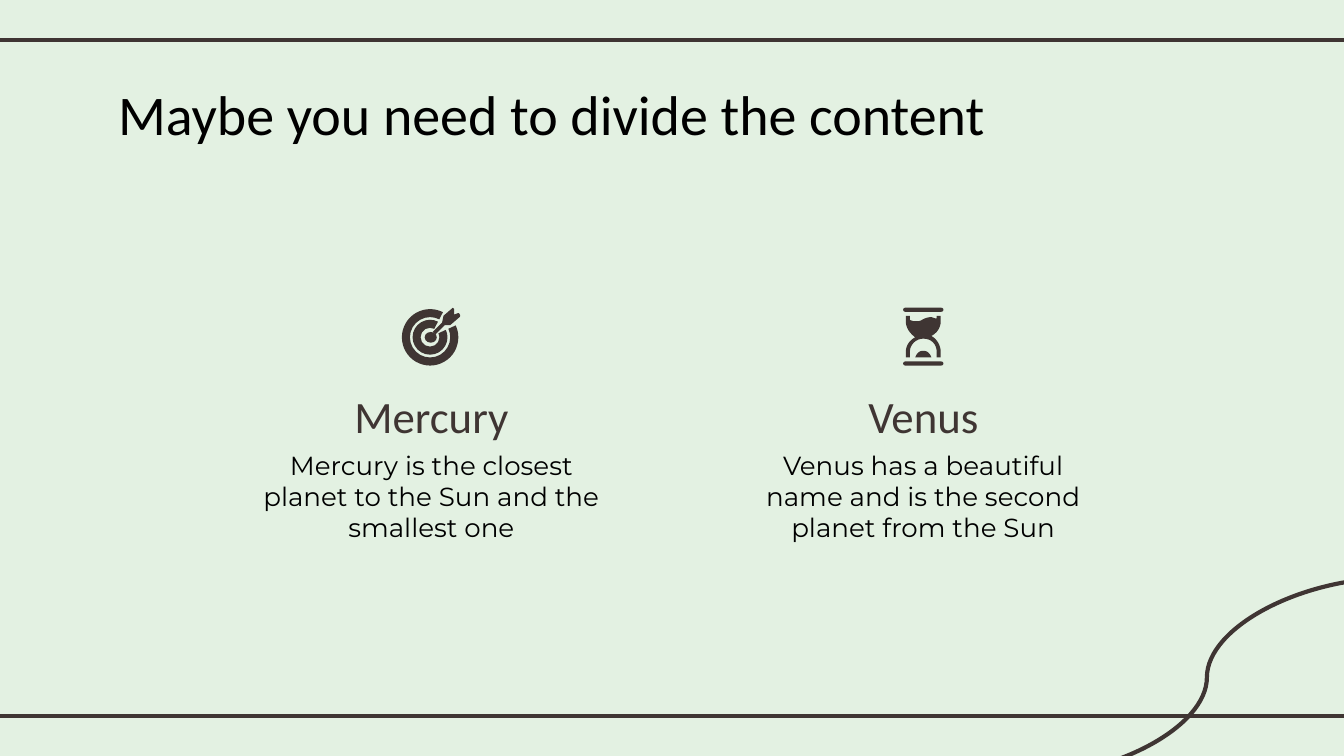
from pptx import Presentation
from pptx import util as u
from pptx.dml import color
from pptx.enum import shapes, text
from pptx.oxml import ns
from lxml import etree

INK = "3F3533"
BLACK = "000000"
PAPER = "E3F1E2"
SHAPE = shapes.MSO_SHAPE
LINE = shapes.MSO_CONNECTOR

DART = [(3.37, 2.29), (3.3, 2.35), (3.29, 2.4), (3.22, 2.47), (3.24, 2.49),
        (3.31, 2.42), (3.35, 2.42), (3.42, 2.36),
        (3.43, 2.35, 3.42, 2.33, 3.41, 2.33), (3.38, 2.34), (3.38, 2.3)]
GLASS = [(6.97, 2.35), (6.97, 2.37), (6.95, 2.37, 6.94, 2.36, 6.93, 2.36),
         (6.9, 2.36, 6.88, 2.37, 6.86, 2.38), (6.85, 2.39, 6.83, 2.39, 6.81, 2.39),
         (6.8, 2.39, 6.79, 2.39, 6.77, 2.38), (6.77, 2.35), (6.74, 2.35),
         (6.74, 2.39), (6.74, 2.44, 6.77, 2.48, 6.81, 2.51),
         (6.77, 2.53, 6.74, 2.57, 6.74, 2.62), (6.74, 2.66), (6.77, 2.66),
         (6.77, 2.62), (6.77, 2.56, 6.82, 2.52, 6.87, 2.52),
         (6.93, 2.52, 6.97, 2.56, 6.97, 2.62), (6.97, 2.66), (7, 2.66),
         (7, 2.62), (7, 2.57, 6.97, 2.52, 6.93, 2.5),
         (6.97, 2.48, 7, 2.44, 7, 2.39), (7, 2.35)]
SAND = [(6.87, 2.61), (6.84, 2.61, 6.82, 2.63, 6.81, 2.66), (6.93, 2.66),
        (6.92, 2.63, 6.9, 2.61, 6.87, 2.61)]


def rgb(value):
    return color.RGBColor.from_string(value)


def cubic(a, b, c, d, t):
    s = 1 - t
    return s**3 * a + 3 * s * s * t * b + 3 * s * t * t * c + t**3 * d


def flatten(path, steps=8):
    points = [path[0]]
    for seg in path[1:]:
        if len(seg) == 2:
            points.append(seg)
            continue
        x, y = points[-1]
        points += [(cubic(x, *seg[::2], i / steps), cubic(y, *seg[1::2], i / steps))
                   for i in range(1, steps + 1)]
    return points


class Deck:
    def __init__(self, width):
        self.prs = Presentation()
        self.prs.slide_width = u.Inches(width)
        self.prs.slide_height = u.Inches(width * 9 / 16)

    def add_slide(self, background):
        self.s = self.prs.slides.add_slide(self.prs.slide_layouts[6])
        fill = self.s.background.fill
        fill.solid()
        fill.fore_color.rgb = rgb(background)

    def line(self, x1, y1, x2, y2, kind=LINE.STRAIGHT):
        sp = self.s.shapes.add_connector(kind, *map(u.Inches, (x1, y1, x2, y2)))
        sp.line.color.rgb = rgb(INK)
        sp.line.width = u.Pt(2.25)
        etree.SubElement(sp._element.spPr, ns.qn("a:effectLst"))

    def paint(self, sp):
        sp.shadow.inherit = False
        sp.fill.solid()
        sp.fill.fore_color.rgb = rgb(INK)
        sp.line.fill.background()

    def shape(self, kind, x, y, w, h, adjust=()):
        sp = self.s.shapes.add_shape(kind, *map(u.Inches, (x, y, w, h)))
        for i, value in enumerate(adjust):
            sp.adjustments[i] = value
        self.paint(sp)

    def outline(self, path):
        points = [(u.Inches(x), u.Inches(y)) for x, y in flatten(path)]
        builder = self.s.shapes.build_freeform(*points[0])
        builder.add_line_segments(points[1:], close=True)
        self.paint(builder.convert_to_shape())

    def text(self, words, x, y, w, h, size=14, font="Calibri", ink=BLACK, align="CENTER"):
        sp = self.s.shapes.add_textbox(*map(u.Inches, (x, y, w, h)))
        tf = sp.text_frame
        tf.word_wrap = True
        tf.margin_left = tf.margin_right = u.Inches(0.1)
        tf.margin_top = tf.margin_bottom = u.Inches(0.1)
        p = tf.paragraphs[0]
        p.alignment = text.PP_ALIGN[align]
        r = p.add_run()
        r.text = words
        r.font.size = u.Pt(size)
        r.font.name = font
        r.font.color.rgb = rgb(ink)

    def ring(self, cx, cy, radius, thickness):
        size = 2 * radius
        gap_end, gap_start = 335, 297
        self.shape(SHAPE.BLOCK_ARC, cx - radius, cy - radius, size, size,
                   (gap_end * 0.6, gap_start * 0.6, thickness / size))

    def target(self):
        self.ring(3.2, 2.51, 0.21, 0.06)
        self.ring(3.2, 2.51, 0.13, 0.06)
        self.shape(SHAPE.OVAL, 3.16, 2.47, 0.09, 0.08)
        self.outline(DART)

    def hourglass(self):
        self.outline(SAND)
        self.outline(GLASS)
        for y in (2.29, 2.69):
            self.shape(SHAPE.ROUNDED_RECTANGLE, 6.72, y, 0.3, 0.03, (0.5,))


def main():
    deck = Deck(10)
    deck.add_slide(PAPER)
    for y in (0.3, 5.33):
        deck.line(-0.08, y, 10.08, y)
    deck.line(10.37, 4.3, 7.59, 5.78, LINE.CURVE)
    deck.text("Maybe you need to divide the content", 0.78, 0.49, 6.92, 0.63,
              size=30, align="LEFT")
    planets = [
        (1.85, "Mercury", "Mercury is the closest planet to the Sun and the smallest one"),
        (5.51, "Venus", "Venus has a beautiful name and is the second planet from the Sun"),
    ]
    for x, name, fact in planets:
        deck.text(name, x, 2.79, 2.72, 0.55, size=24, ink=INK)
        deck.text(fact, x, 3.24, 2.72, 0.99, font="Montserrat")
    deck.target()
    deck.hourglass()
    deck.prs.save("out.pptx")


if __name__ == "__main__":
    main()
